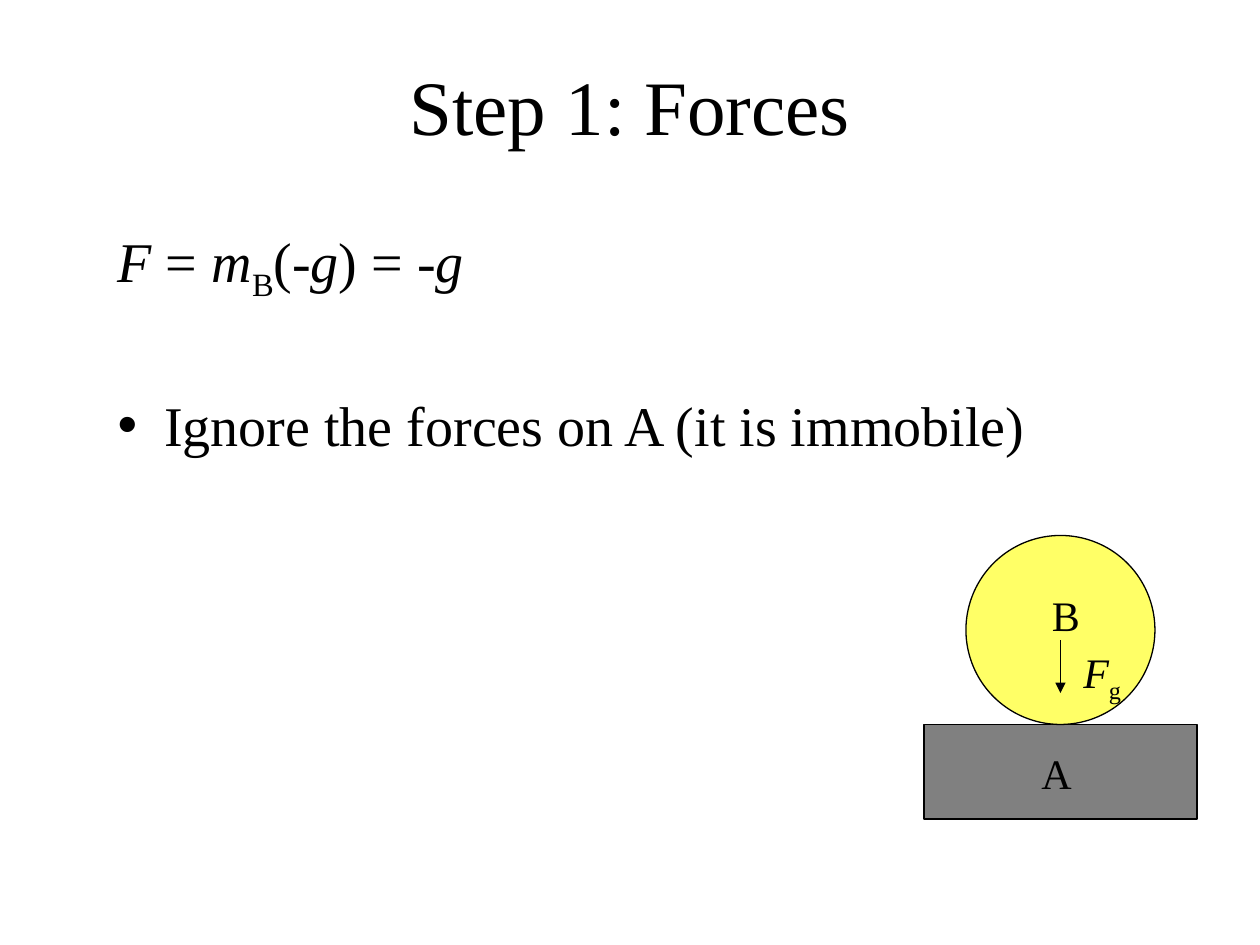
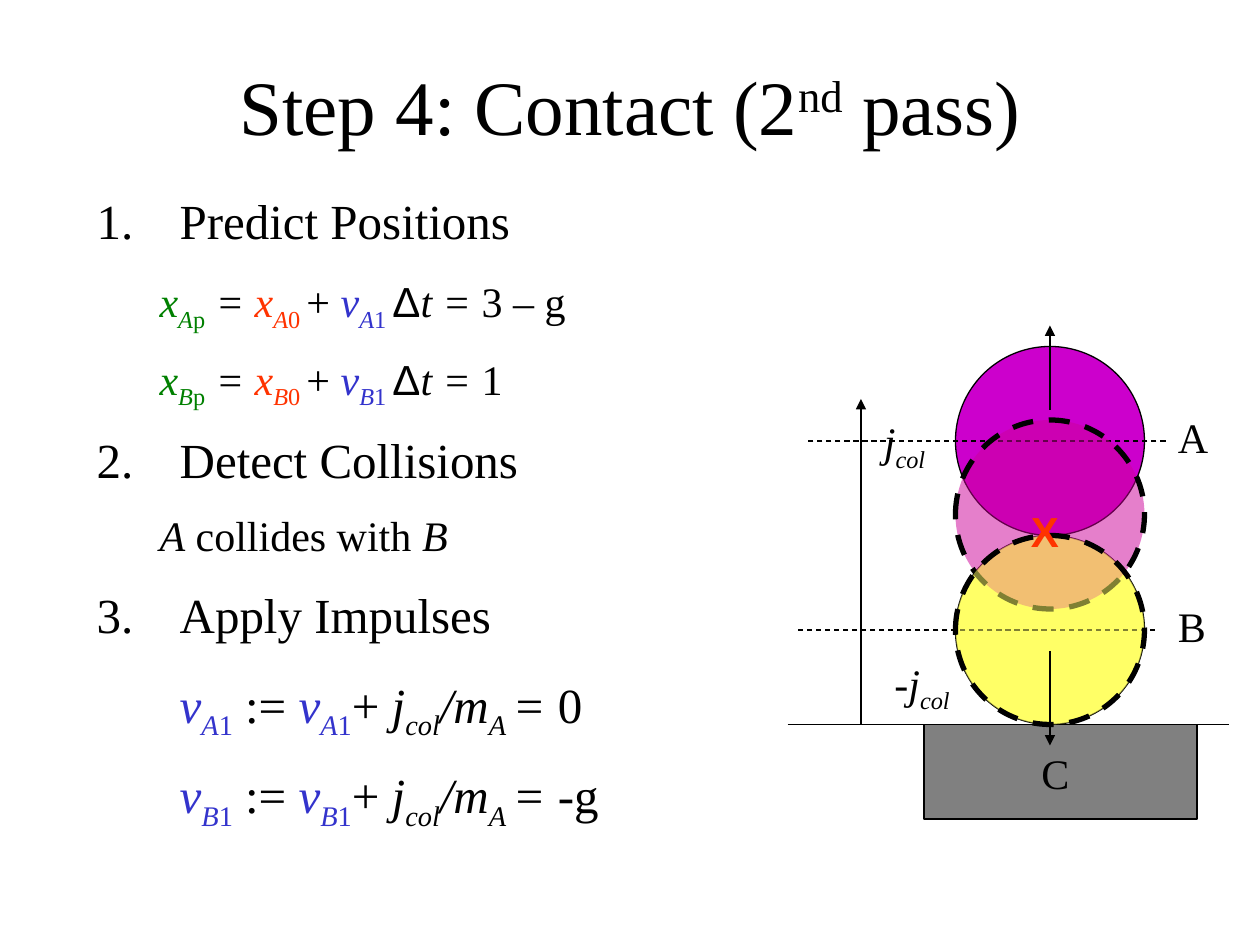
from lxml.etree import SubElement
from pptx import Presentation
from pptx.dml.color import RGBColor
from pptx.enum.dml import MSO_LINE
from pptx.enum.shapes import MSO_CONNECTOR, MSO_SHAPE
from pptx.enum.text import MSO_ANCHOR, MSO_AUTO_SIZE, PP_ALIGN
from pptx.oxml.ns import qn
from pptx.util import Inches, Pt

BLACK = RGBColor(0x00, 0x00, 0x00)
GREEN = RGBColor(0x00, 0x80, 0x00)
RED = RGBColor(0xFF, 0x33, 0x00)
BLUE = RGBColor(0x33, 0x33, 0xCC)
GREY = RGBColor(0x80, 0x80, 0x80)
YELLOW = RGBColor(0xFF, 0xFF, 0x66)
PURPLE = RGBColor(0xCC, 0x00, 0xCC)
PINK = RGBColor(0xCC, 0x00, 0x99)
SERIF, SANS = "Times New Roman", "Arial"
INKS = {"g": GREEN, "r": RED, "b": BLUE}
SHIFTS = {"_": "-25000", "^": "30000"}
BALL = 18


def grid(*cells):
    """Turn grid cells, twelve to the inch, into lengths."""
    return [Inches(cell / 12) for cell in cells]


class Deck:
    """Holds the shared style and the current slide."""

    def __init__(self):
        """Open an empty deck on a grid of 120 columns and 90 rows."""
        self.prs = Presentation()
        self.prs.slide_width, self.prs.slide_height = grid(120, 90)

    def start(self, title):
        """Add a slide and fill its title."""
        self.slide = self.prs.slides.add_slide(self.prs.slide_layouts[1])
        head = self.slide.shapes.title
        self.place(head, 9, 3, 102, 15)
        head.text_frame.vertical_anchor = MSO_ANCHOR.MIDDLE
        para = head.text_frame.paragraphs[0]
        para.alignment = PP_ALIGN.CENTER
        self.typeset(para, title, 44)

    def place(self, shape, left, top, width, height):
        """Move a placeholder and keep its text at full size."""
        shape.left, shape.top, shape.width, shape.height = grid(left, top, width, height)
        shape.text_frame.auto_size = MSO_AUTO_SIZE.NONE
        shape.text_frame.word_wrap = True

    def typeset(self, para, runs, size, face=SERIF, ink=BLACK, bold=False, lead=0.93):
        """Fill a paragraph with (text, marks) runs.

        Marks: i italic, _ subscript, ^ superscript, a sans, g r b inks.
        """
        para.line_spacing = lead
        font = para.font
        font.name, font.size, font.bold = face, Pt(size), bold
        font.color.rgb = ink
        for text, marks in runs:
            run = para.add_run()
            run.text = text
            if "i" in marks:
                run.font.italic = True
            if "a" in marks:
                run.font.name = SANS
            for mark in marks:
                if mark in INKS:
                    run.font.color.rgb = INKS[mark]
                if mark in SHIFTS:
                    run.font._element.set("baseline", SHIFTS[mark])

    def body(self, box, lines):
        """Fill the body with (runs, size, gap, margin, hang, mark, level, lead) lines."""
        shape = self.slide.placeholders[1]
        self.place(shape, *box)
        frame = shape.text_frame
        for at, (runs, size, gap, margin, hang, mark, level, lead) in enumerate(lines):
            para = frame.add_paragraph() if at else frame.paragraphs[0]
            para.level = level
            props = para._p.get_or_add_pPr()
            props.set("marL", str(Inches(margin)))
            props.set("indent", str(-Inches(hang)))
            if not mark:
                SubElement(props, qn("a:buNone"))
            elif mark == "•":
                SubElement(props, qn("a:buChar"), char=mark)
            else:
                SubElement(props, qn("a:buAutoNum"), type="arabicPeriod", startAt=mark)
            para.space_before = Pt(gap if at else 0)
            self.typeset(para, runs, size, lead=lead)

    def label(self, left, top, runs, width=15, **style):
        """Add a text box of one line."""
        frame = self.slide.shapes.add_textbox(*grid(left, top, width, 6)).text_frame
        frame.word_wrap = True
        self.typeset(frame.paragraphs[0], runs, 24, **style)

    def shape(self, kind, left, top, width, height, fill):
        """Add a filled shape with a thin black outline."""
        item = self.slide.shapes.add_shape(kind, *grid(left, top, width, height))
        item.shadow.inherit = False
        item.fill.solid()
        item.fill.fore_color.rgb = fill
        item.line.color.rgb = BLACK
        item.line.width = Pt(0.75)
        return item

    def ball(self, left, top, fill):
        """Add a ball."""
        return self.shape(MSO_SHAPE.OVAL, left, top, BALL, BALL, fill)

    def ghost(self, left, top, fill):
        """Add a half clear ball with a thick dashed edge."""
        item = self.ball(left, top, fill)
        item.line.width = Pt(3)
        item.line.dash_style = MSO_LINE.DASH
        tint = item._element.spPr.find(qn("a:solidFill")).find(qn("a:srgbClr"))
        SubElement(tint, qn("a:alpha"), val="50000")

    def block(self, name):
        """Add the fixed grey block and its name."""
        self.shape(MSO_SHAPE.RECTANGLE, 88, 69, 26, 9, GREY)
        self.label(98, 71, [(name, "")], 6)

    def line(self, x1, y1, x2, y2, dash=False, arrow=False):
        """Add a thin line, dashed or with an arrowhead if asked."""
        item = self.slide.shapes.add_connector(MSO_CONNECTOR.STRAIGHT, *grid(x1, y1, x2, y2))
        item.line.color.rgb = BLACK
        item.line.width = Pt(0.75)
        if dash:
            item.line.dash_style = MSO_LINE.DASH
        if arrow:
            SubElement(item.line._get_or_add_ln(), qn("a:tailEnd"), type="triangle")
        SubElement(item._element.spPr, qn("a:effectLst"))


def step(mark, text):
    """Give a numbered line."""
    return [(text, "")], 28, 17.5, 0.66, 0.66, mark, 0, 0.93 if mark == "1" else 0.9


def note(runs):
    """Give a line one level down."""
    return runs, 24, 15, 0.5, 0, None, 1, 0.9


def guess(ball, end):
    """Give the line that predicts a ball's position."""
    return note([("x", "ig"), (ball, "i_g"), ("p", "_g"), (" = ", "i"),
                 ("x", "ir"), (ball, "i_r"), ("0 ", "_r"), ("+ ", ""),
                 ("v", "ib"), (ball, "i_b"), ("1 ", "_b"), ("Δ", "a"),
                 ("t = ", "i"), (end, "")])


def kick(ball, end):
    """Give the line that applies an impulse to a ball."""
    speed = [("v", "ib"), (ball, "i_b"), ("1", "_b")]
    runs = speed + [(" := ", "")] + speed + [
        ("+ ", ""), ("j", "i"), ("col", "i_"), ("/m", "i"), ("A ", "i_"), ("= ", "i"), (end, "")]
    return runs, 28, 17.5, 0.66, 0, None, 0, 0.9


def forces(deck):
    """Build the slide on forces."""
    deck.start([("Step 1: Forces", "")])
    pull = [("F ", "i"), ("= ", ""), ("m", "i"), ("B", "_"), ("(-", ""),
            ("g", "i"), (") = -", ""), ("g", "i")]
    rest = [("Ignore the forces on A (it is immobile)", "")]
    deck.body((10, 21, 102, 58), [(pull, 32, 0, 0, 0, None, 0, 0.93),
                                  (rest, 32, 53, 0.37, 0.37, "•", 0, 1.0)])
    deck.block("A")
    deck.ball(92, 51, YELLOW)
    deck.label(99, 56, [("B", "")], 6)
    deck.line(101, 61, 101, 66, arrow=True)
    deck.label(102, 61, [("F", "i"), ("g", "_")], 12)


def contact(deck):
    """Build the slide on contact."""
    deck.start([("Step 4: Contact (2", ""), ("nd", "^"), (" pass)", "")])
    deck.body((8, 18, 102, 72), [
        step("1", "Predict Positions"), guess("A", "3 – g"), guess("B", "1"),
        step("2", "Detect Collisions"),
        note([("A", "i"), (" collides with ", ""), ("B", "i")]),
        step("3", "Apply Impulses"), kick("A", "0"), kick("B", "-g")])
    deck.block("C")
    deck.ball(91, 51, YELLOW)
    deck.line(82, 69, 82, 38, arrow=True)
    deck.line(75, 69, 117, 69)
    deck.ball(91, 33, PURPLE)
    for name, top, right in (("A", 42, 111), ("B", 60, 110)):
        deck.label(111, top - 3, [(name, "")], 6)
        deck.line(right, top, right - 34, top, dash=True)
    deck.ghost(91, 40, PINK)
    deck.ghost(91, 51, YELLOW)
    deck.line(100, 39, 100, 31, arrow=True)
    deck.line(100, 62, 100, 71, arrow=True)
    deck.label(83, 39, [("j", "i"), ("col", "i_")])
    deck.label(84, 62, [("-j", "i"), ("col", "i_")])
    deck.label(97, 48, [("X", "")], face=SANS, ink=RED, bold=True)


def main():
    """Build and save the deck."""
    deck = Deck()
    forces(deck)
    contact(deck)
    deck.prs.save("out.pptx")


if __name__ == "__main__":
    main()
